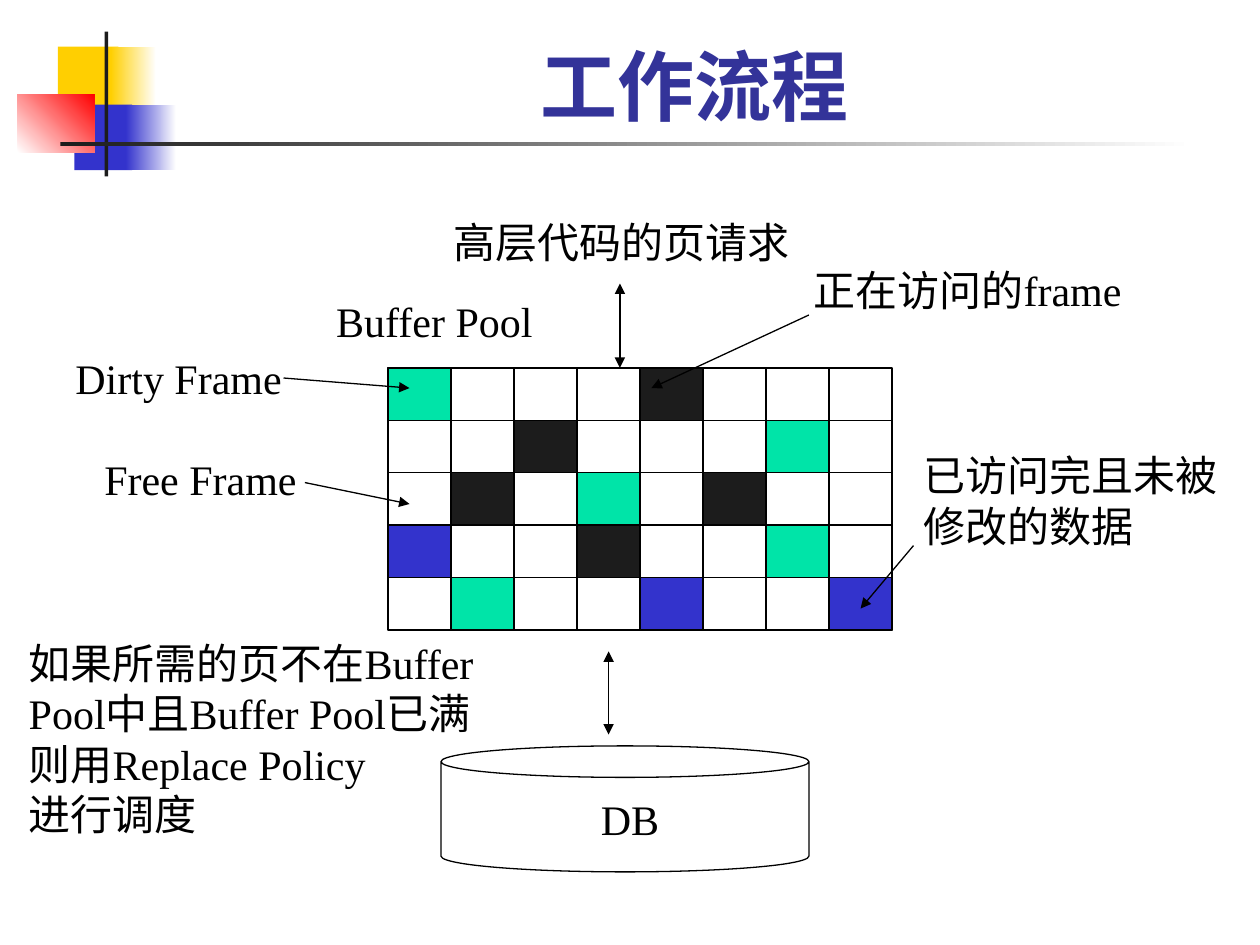
from dataclasses import dataclass

from lxml import etree
from pptx import Presentation
from pptx.dml.color import RGBColor
from pptx.enum.shapes import MSO_CONNECTOR, MSO_SHAPE
from pptx.enum.text import MSO_ANCHOR, MSO_AUTO_SIZE, PP_ALIGN
from pptx.oxml.ns import qn
from pptx.util import Inches, Pt

RECT, CAN = MSO_SHAPE.RECTANGLE, MSO_SHAPE.CAN
LINE = MSO_CONNECTOR.STRAIGHT
BOTTOM, TOP = MSO_ANCHOR.BOTTOM, MSO_ANCHOR.TOP
LEFT, CENTER = PP_ALIGN.LEFT, PP_ALIGN.CENTER
FIT, FIXED = MSO_AUTO_SIZE.SHAPE_TO_FIT_TEXT, MSO_AUTO_SIZE.NONE

COLORS = {
    "yellow": "FFCF01", "blue": "3333CC", "red": "FF0000", "dark": "1C1C1C",
    "green": "00E4A8", "white": "FFFFFF", "black": "000000", "title": "333399",
}
POOL = (3.08, 2.92, 4, 2.08)
COLS, ROWS = 8, 5
CELL_W, CELL_H = POOL[2] / COLS, POOL[3] / ROWS
FRAMES = {  # colour: (column, row) of each frame
    "green": [(0, 0), (6, 1), (3, 2), (1, 4), (6, 3)],
    "dark": [(2, 1), (1, 2), (3, 3), (5, 2), (4, 0)],
    "blue": [(4, 4), (0, 3), (7, 4)],
}


@dataclass
class Block:
    """A decoration; with a second colour its fill is a gradient."""
    box: tuple
    color: str
    fade: str = ""
    angle: int = 0


@dataclass
class Label:
    box: tuple
    text: str


@dataclass
class Arrow:
    start: tuple
    end: tuple
    double: bool = False


BLOCKS = [
    Block((0.46, 0.37, 0.48, 0.52), "yellow"),
    Block((0.88, 0.37, 0.36, 0.52), "yellow", "white"),
    Block((0.59, 0.83, 0.46, 0.52), "blue"),
    Block((1, 0.83, 0.4, 0.52), "blue", "white"),
    Block((0.14, 0.75, 0.61, 0.46), "white", "red", 45),
    Block((0.83, 0.25, 0.03, 1.15), "dark"),
    Block((0.48, 1.13, 9, 0.03), "dark", "white"),
]
LABELS = [
    Label((4.67, 6.25, 0.71, 0.5), "DB"),
    Label((3.5, 1.67, 2.91, 0.5), "高层代码的页请求"),
    Label((2.57, 2.3, 1.81, 0.5), "Buffer Pool"),
    Label((0.73, 3.55, 1.77, 0.5), "Free Frame"),
    Label((0.5, 2.75, 1.89, 0.5), "Dirty Frame"),
    Label((0.13, 5.01, 4, 1.7),
          "如果所需的页不在Buffer\nPool中且Buffer Pool已满\n则用Replace Policy\n进行调度"),
    Label((6.36, 2.05, 2.77, 0.5), "正在访问的frame"),
    Label((7.23, 3.52, 2.58, 0.9), "已访问完且未被\n修改的数据"),
]
ARROWS = [
    Arrow((4.92, 2.25), (4.92, 2.92), True),
    Arrow((2.25, 3), (3.25, 3.08)),
    Arrow((2.42, 3.83), (3.25, 4)),
    Arrow((4.83, 5.17), (4.83, 5.83), True),
    Arrow((6.42, 2.5), (5.17, 3.08)),
    Arrow((7.25, 4.33), (6.83, 4.83)),
]


def rgb(name: str) -> RGBColor:
    return RGBColor.from_string(COLORS[name])


def write(shape, text: str, *, size=24, font="Times New Roman", color="black",
          bold=False, align=LEFT, anchor=TOP, fit=FIT) -> None:
    frame = shape.text_frame
    frame.text = text
    frame.word_wrap, frame.auto_size = True, fit
    frame.vertical_anchor = anchor
    for para in frame.paragraphs:
        para.alignment = align
        para.font.size, para.font.name = Pt(size), font
        para.font.bold = bold
        para.font.color.rgb = rgb(color)


def add_shape(slide, kind, box: tuple, fill: str = "", edge: bool = True):
    shape = slide.shapes.add_shape(kind, *map(Inches, box))
    shape.shadow.inherit = False
    if fill:
        shape.fill.solid()
        shape.fill.fore_color.rgb = rgb(fill)
    else:
        shape.fill.background()
    if edge:
        shape.line.color.rgb = rgb("black")
        shape.line.width = Pt(0.75)
    else:
        shape.line.fill.background()
    return shape


def add_block(slide, block: Block) -> None:
    shape = add_shape(slide, RECT, block.box, block.color, edge=False)
    if block.fade:
        shape.fill.gradient()
        shape.fill.gradient_angle = block.angle
        for stop, name in zip(shape.fill.gradient_stops, (block.color, block.fade)):
            stop.color.rgb = rgb(name)


def add_line(slide, start: tuple, end: tuple):
    line = slide.shapes.add_connector(LINE, *map(Inches, start + end))
    line.line.color.rgb = rgb("black")
    line.line.width = Pt(0.75)
    etree.SubElement(line._element.spPr, qn("a:effectLst"))
    return line


def add_arrow(slide, arrow: Arrow) -> None:
    line = add_line(slide, arrow.start, arrow.end)
    ends = ("a:headEnd", "a:tailEnd") if arrow.double else ("a:tailEnd",)
    for tag in ends:
        etree.SubElement(line.line._get_or_add_ln(), qn(tag), type="triangle")


def add_pool(slide) -> None:
    """Draw the buffer pool: outline, coloured frames and grid lines."""
    left, top, width, height = POOL
    pool = add_shape(slide, RECT, POOL)
    for color, spots in FRAMES.items():
        for col, row in spots:
            box = (left + col * CELL_W, top + row * CELL_H, CELL_W, CELL_H)
            add_shape(slide, RECT, box, color)
    for row in range(1, ROWS):
        y = top + row * CELL_H
        add_line(slide, (left, y), (left + width, y))
    for col in range(1, COLS):
        x = left + col * CELL_W
        line = add_line(slide, (x, top), (x, top + height))
        if col * 2 == COLS:
            line.begin_connect(pool, 0)
            line.end_connect(pool, 2)


def main() -> None:
    deck = Presentation()
    deck.slide_width, deck.slide_height = Inches(10), Inches(7.5)
    slide = deck.slides.add_slide(deck.slide_layouts[5])
    for block in BLOCKS:
        add_block(slide, block)

    title = slide.shapes.title
    title.left, title.top, title.width, title.height = map(
        Inches, (1.25, 0.25, 8.52, 0.84))
    write(title, "工作流程", size=44, font="Roboto", color="title", bold=True,
          align=CENTER, anchor=BOTTOM, fit=FIXED)

    store = add_shape(slide, CAN, (3.5, 5.92, 2.92, 1))
    store.adjustments[0] = 0.25
    add_pool(slide)
    for label in LABELS:
        write(slide.shapes.add_textbox(*map(Inches, label.box)), label.text)
    for arrow in ARROWS:
        add_arrow(slide, arrow)
    deck.save("out.pptx")


if __name__ == "__main__":
    main()
